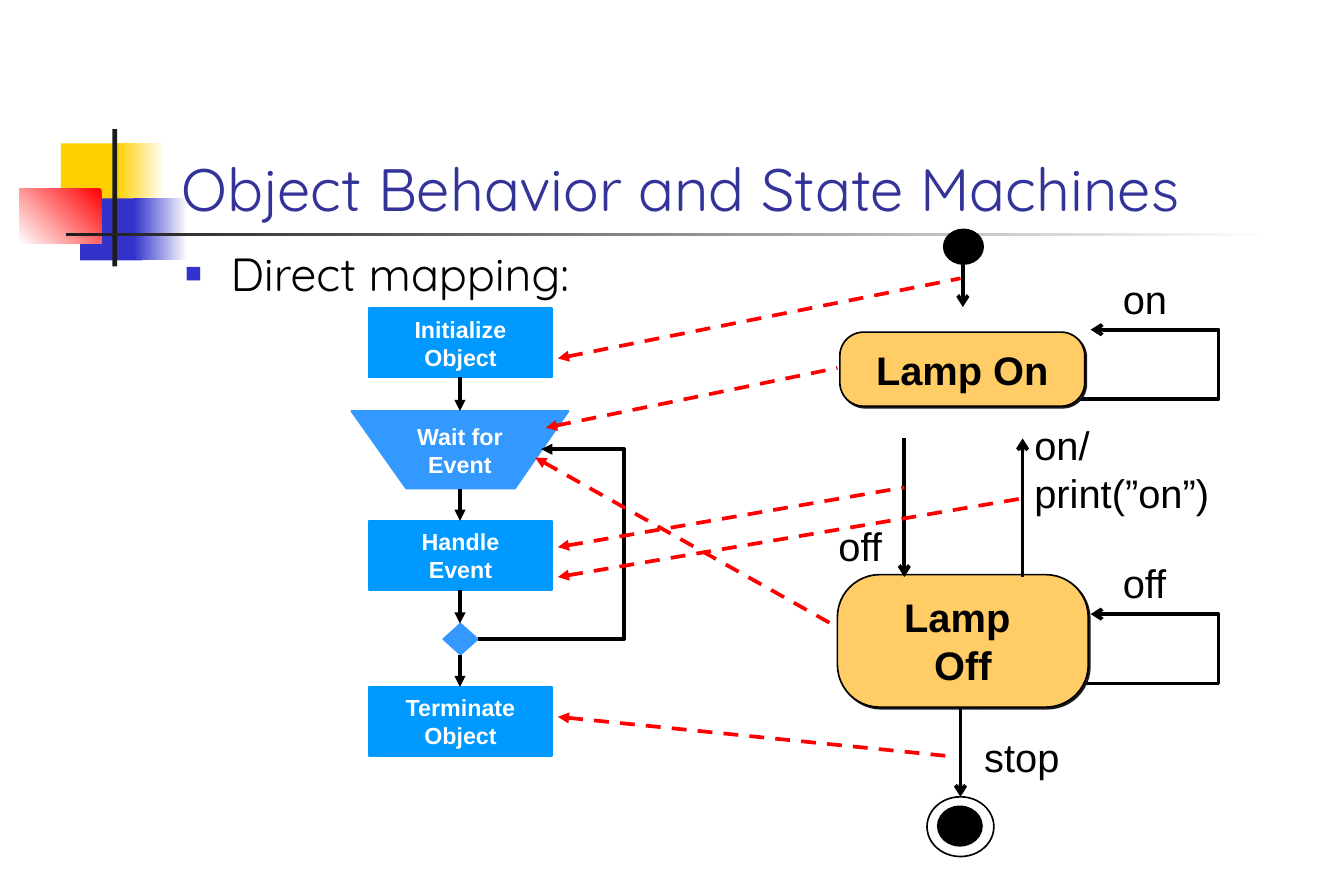
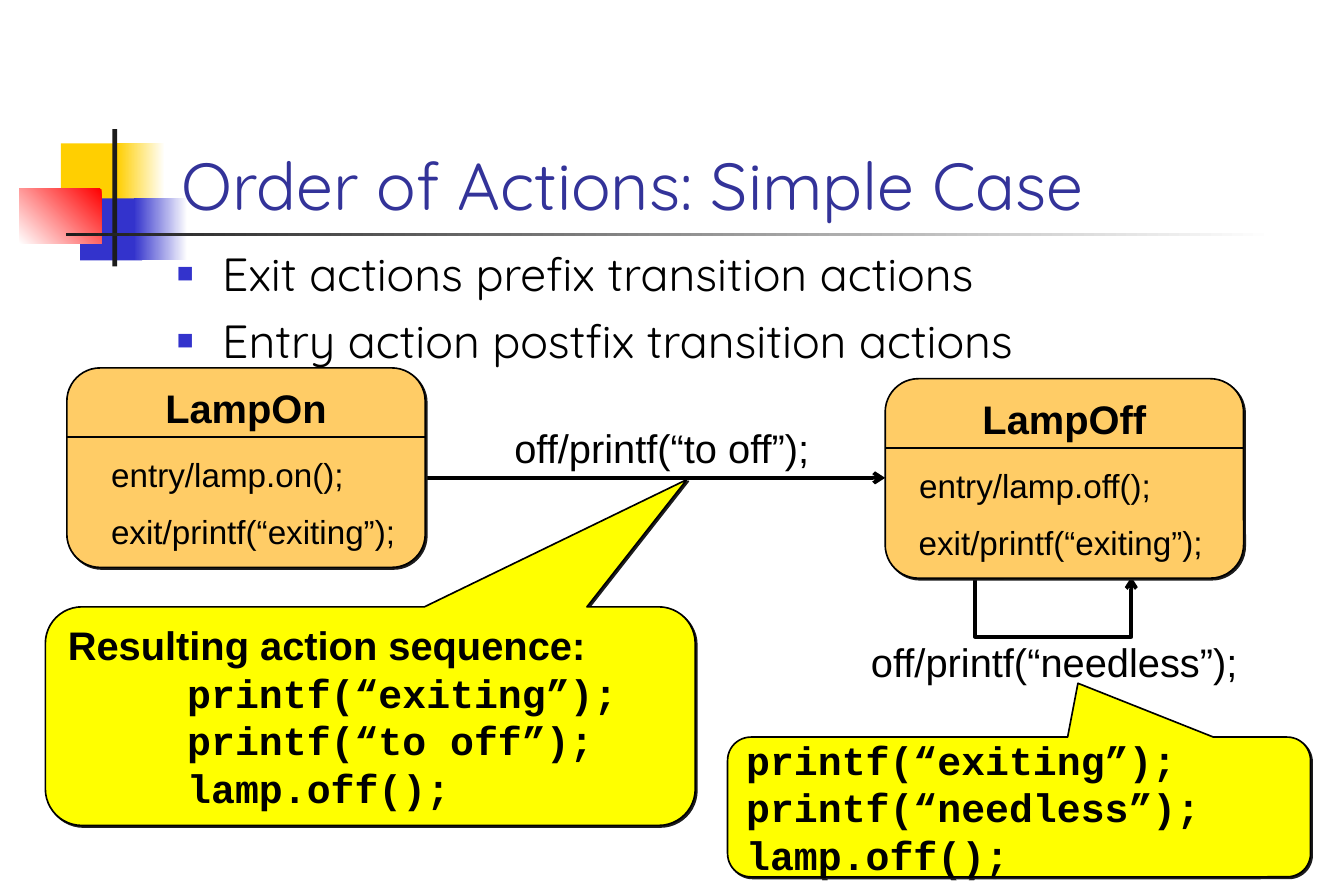
from dataclasses import dataclass
from typing import Any

from lxml.etree import SubElement
from pptx import Presentation
from pptx.dml.color import RGBColor
from pptx.enum.dml import MSO_LINE
from pptx.enum.shapes import MSO_CONNECTOR, MSO_SHAPE
from pptx.enum.text import MSO_ANCHOR, MSO_AUTO_SIZE, PP_ALIGN
from pptx.oxml.ns import qn
from pptx.util import Inches, Pt

BLACK = RGBColor(0x00, 0x00, 0x00)
WHITE = RGBColor(0xFF, 0xFF, 0xFF)
CHARCOAL = RGBColor(0x1C, 0x1C, 0x1C)
GOLD = RGBColor(0xFF, 0xCF, 0x01)
INDIGO = RGBColor(0x33, 0x33, 0xCC)
RED = RGBColor(0xFF, 0x00, 0x00)
TITLE_BLUE = RGBColor(0x33, 0x33, 0x99)
ACTION_BLUE = RGBColor(0x00, 0x99, 0xFF)
WAIT_BLUE = RGBColor(0x33, 0x99, 0xFF)
STATE_ORANGE = RGBColor(0xFF, 0xCC, 0x66)
CALLOUT_YELLOW = RGBColor(0xFF, 0xFF, 0x00)

HEADING_FONT = "Quicksand"
TEXT_FONT = "Arial"
CODE_FONT = "Courier New"


def format_runs(paragraph, size, color=BLACK, bold=False, font=TEXT_FONT):
    for run in paragraph.runs:
        run.font.name = font
        run.font.size = Pt(size)
        run.font.bold = bold
        run.font.color.rgb = color


def add_arrowhead(shape, end, kind):
    line = shape.element.spPr.find(qn("a:ln"))
    SubElement(line, qn(f"a:{end}"), type=kind, w="med", len="med")


def add_drop_shadow(shape):
    effects = shape.element.spPr.find(qn("a:effectLst"))
    shadow = SubElement(effects, qn("a:outerShdw"), dist=str(Pt(1.4)),
                        dir=str(45 * 60000), algn="ctr", rotWithShape="0")
    SubElement(shadow, qn("a:srgbClr"), val=str(CHARCOAL))


@dataclass
class Region:
    """A part of a slide; all lengths are inches from its top left corner."""
    slide: Any
    left: float = 0
    top: float = 0

    def point(self, x, y):
        return Inches(self.left + x), Inches(self.top + y)

    def style(self, shape, fill, outline=BLACK, width=1):
        shape.shadow.inherit = False
        if fill is None:
            shape.fill.background()
        else:
            shape.fill.solid()
            shape.fill.fore_color.rgb = fill
        if outline is None:
            shape.line.fill.background()
        else:
            shape.line.color.rgb = outline
            shape.line.width = Pt(width)
        return shape

    def shape(self, kind, x, y, width, height, fill, outline=BLACK):
        shape = self.slide.shapes.add_shape(
            kind, *self.point(x, y), Inches(width), Inches(height))
        return self.style(shape, fill, outline)

    def outline(self, points, fill=None, outline=BLACK, width=1, closed=False):
        corners = [self.point(*point) for point in points]
        builder = self.slide.shapes.build_freeform(*corners[0])
        builder.add_line_segments(corners[1:], close=closed)
        return self.style(builder.convert_to_shape(), fill, outline, width)

    def loop(self, points):
        add_arrowhead(self.outline(points, width=2.25), "tailEnd", "arrow")

    def line(self, start, stop, arrow="arrow", end="tailEnd", color=BLACK,
             width=2.25, dashed=False, kind=MSO_CONNECTOR.STRAIGHT):
        connector = self.slide.shapes.add_connector(
            kind, *self.point(*start), *self.point(*stop))
        connector.line.color.rgb = color
        connector.line.width = Pt(width)
        if dashed:
            connector.line.dash_style = MSO_LINE.DASH
        if arrow:
            add_arrowhead(connector, end, arrow)
        SubElement(connector.element.spPr, qn("a:effectLst"))
        return connector

    def label(self, text, x, y, width, height=0.5, size=24,
              align=PP_ALIGN.LEFT):
        box = self.slide.shapes.add_textbox(
            *self.point(x, y), Inches(width), Inches(height))
        box.text_frame.word_wrap = False
        box.text_frame.auto_size = MSO_AUTO_SIZE.SHAPE_TO_FIT_TEXT
        write(box, text, size, align=align)


def write(shape, text, size, color=BLACK, bold=False, wrap=False,
          align=PP_ALIGN.CENTER, anchor=MSO_ANCHOR.MIDDLE):
    frame = shape.text_frame
    frame.text = text
    frame.word_wrap = wrap
    frame.vertical_anchor = anchor
    for paragraph in frame.paragraphs:
        paragraph.alignment = align
        format_runs(paragraph, size, color, bold)


def add_master_frame(presentation, slide):
    """Draws the coloured squares and rules, then moves them to the master."""
    frame = Region(slide)
    blocks = [
        (0.51, 1.2, 0.54, 0.52, GOLD),
        (0.98, 1.2, 0.4, 0.52, (WHITE, GOLD, 180)),
        (0.67, 1.66, 0.52, 0.52, INDIGO),
        (1.12, 1.66, 0.45, 0.52, (WHITE, INDIGO, 180)),
        (0.16, 1.58, 0.69, 0.46, (RED, WHITE, 225)),
        (0.94, 1.08, 0.04, 1.15, CHARCOAL),
        (0.55, 1.95, 10.12, 0.03, (WHITE, CHARCOAL, 180)),
    ]
    master_tree = presentation.slide_master.placeholders[0].element.getparent()
    for number, (*box, fill) in enumerate(blocks, start=20):
        is_solid = isinstance(fill, RGBColor)
        block = frame.shape(MSO_SHAPE.RECTANGLE, *box,
                            fill if is_solid else None, None)
        if not is_solid:
            *colors, angle = fill
            block.fill.gradient()
            block.fill.gradient_angle = angle
            for stop, color in zip(block.fill.gradient_stops, colors):
                stop.color.rgb = color
        block.element.xpath("./p:nvSpPr/p:cNvPr")[0].set("id", str(number))
        master_tree.append(block.element)


def place(placeholder, left, top, width, height):
    placeholder.left, placeholder.top = Inches(left), Inches(top)
    placeholder.width, placeholder.height = Inches(width), Inches(height)
    placeholder.text_frame.auto_size = MSO_AUTO_SIZE.NONE
    placeholder.text_frame.word_wrap = True


def add_title(slide, text, size):
    title = slide.shapes.title
    place(title, 1.42, 0.67, 9.59, 1.25)
    title.text_frame.text = text
    title.text_frame.vertical_anchor = MSO_ANCHOR.BOTTOM
    title.text_frame.paragraphs[0].alignment = PP_ALIGN.LEFT
    format_runs(title.text_frame.paragraphs[0], size, TITLE_BLUE,
                font=HEADING_FONT)


def add_bullets(slide, items, box):
    body = slide.placeholders[1]
    place(body, *box)
    body.text_frame.text = "\n".join(items)
    for index, paragraph in enumerate(body.text_frame.paragraphs):
        properties = paragraph._p.get_or_add_pPr()
        properties.set("marL", str(Inches(0.38)))
        properties.set("indent", str(Inches(-0.38)))
        color = SubElement(properties, qn("a:buClr"))
        SubElement(color, qn("a:srgbClr"), val=str(INDIGO))
        SubElement(properties, qn("a:buSzPct"), val="60000")
        SubElement(properties, qn("a:buFont"), typeface=TEXT_FONT)
        SubElement(properties, qn("a:buChar"), char="■")
        paragraph.space_before = Pt(7 if index else 0)
        format_runs(paragraph, 28, font=HEADING_FONT)


def add_flow_chart(slide, left, top):
    chart = Region(slide, left, top)
    center = 0.91
    for text, y in (("Handle\vEvent", 1.78), ("Initialize\vObject", 0),
                    ("Terminate\vObject", 3.17)):
        action = chart.shape(MSO_SHAPE.FLOWCHART_PROCESS, 0.15, y, 1.53, 0.58,
                             ACTION_BLUE, ACTION_BLUE)
        write(action, text, 14, WHITE, bold=True)
    chart.shape(MSO_SHAPE.DIAMOND, 0.77, 2.64, 0.29, 0.26,
                WAIT_BLUE, WAIT_BLUE)
    wait = chart.outline([(0, 0.86), (1.82, 0.86), (1.37, 1.51), (0.46, 1.51)],
                         WAIT_BLUE, WAIT_BLUE, closed=True)
    write(wait, "Wait for\vEvent", 14, WHITE, bold=True)
    for start, stop in ((0.58, 0.86), (1.51, 1.78), (2.36, 2.64), (2.9, 3.17)):
        chart.line((center, start), (center, stop), "triangle")
    repeat = chart.line((1.06, 2.77), (1.59, 1.18), "triangle",
                        kind=MSO_CONNECTOR.ELBOW)
    guides = repeat.element.spPr.find(qn("a:prstGeom")).find(qn("a:avLst"))
    SubElement(guides, qn("a:gd"), name="adj1", fmla="val 231000")


def add_state(region, text, x, y, width, height, rounding,
              anchor=MSO_ANCHOR.MIDDLE, wrap=True):
    state = region.shape(MSO_SHAPE.ROUNDED_RECTANGLE, x, y, width, height,
                         STATE_ORANGE)
    state.adjustments[0] = rounding
    add_drop_shadow(state)
    write(state, text, 24, bold=True, wrap=wrap, anchor=anchor)


def add_state_machine(slide, left, top):
    machine = Region(slide, left, top)
    for text, y in (("on", 0.86), ("off", 3.24)):
        machine.loop([(1.97, y + 0.58), (3.2, y + 0.58), (3.2, y), (2.13, y)])
        machine.label(text, 2.3, y - 0.51, 0.57)
    add_state(machine, "Lamp On", 0.03, 0.88, 2.05, 0.62, 0.32)
    add_state(machine, "Lamp \vOff", 0.01, 2.91, 2.1, 1.11, 0.32)
    for start, stop in (((0.57, 1.77), (0.57, 2.93)),
                        ((1.56, 2.93), (1.56, 1.77)),
                        ((1.06, 0.16), (1.06, 0.67)),
                        ((1.04, 4.02), (1.04, 4.77))):
        machine.line(start, stop)
    machine.label("off", -0.08, 2.42, 0.57)
    machine.label("on/print(”on”)", 1.56, 1.77, 2.12)
    machine.label("stop", 1.14, 4.18, 0.83)
    for *box, fill in ((0.9, 0.02, 0.33, 0.29, BLACK),
                       (0.76, 4.77, 0.56, 0.5, WHITE),
                       (0.85, 4.85, 0.37, 0.33, BLACK)):
        machine.shape(MSO_SHAPE.OVAL, *box, fill)


def add_mapping_arrows(slide, left, top):
    """Links each part of the state machine to its flow chart step."""
    mapping = Region(slide, left, top)
    for step, state in (((0.09, 1.25), (2.53, 0.75)),
                        ((0, 1.5), (2.53, 2.92)),
                        ((0.19, 2.25), (3.09, 1.75)),
                        ((0.19, 2.5), (4.09, 1.84)),
                        ((0.19, 3.67), (3.47, 4)),
                        ((0.19, 0.67), (3.56, 0))):
        mapping.line(step, state, "triangle", "headEnd", RED, dashed=True)


def add_detailed_state(slide, left, top, name, entry, inset):
    region = Region(slide, left, top)
    add_state(region, name, 0, 0, 3, 1.67, 0.167, MSO_ANCHOR.TOP, wrap=False)
    region.line((0, 0.58), (3, 0.58), arrow=None, width=1)
    for text, y, width in ((entry, 0.67, 2.15),
                           ("exit/printf(“exiting”);", 1.15, 2.58)):
        region.label(text, inset, y, width, 0.44, 20, PP_ALIGN.CENTER)


def add_callout(slide, left, top, width, height, pointer, code, heading=None):
    callout = Region(slide, left, top).shape(
        MSO_SHAPE.ROUNDED_RECTANGULAR_CALLOUT, 0, 0, width, height,
        CALLOUT_YELLOW)
    for index, value in enumerate((*pointer, 0.167)):
        callout.adjustments[index] = value
    add_drop_shadow(callout)
    lines = [heading, *code] if heading else code
    write(callout, "\n".join(lines), 24, bold=True, align=PP_ALIGN.LEFT)
    paragraphs = callout.text_frame.paragraphs
    for paragraph in paragraphs[-len(code):]:
        format_runs(paragraph, 24, bold=True, font=CODE_FONT)
        if heading:
            paragraph._p.get_or_add_pPr().set("marL", str(Inches(1)))


def add_transitions(slide, left, top):
    transitions = Region(slide, left, top)
    transitions.loop([(4.69, 0.83), (4.69, 1.33), (6, 1.33), (6, 0.83)])
    transitions.label("off/printf(“needless”);", 3.72, 1.29, 3.27,
                      align=PP_ALIGN.CENTER)
    transitions.line((0, 0), (3.94, 0))
    transitions.label("off/printf(“to off”);", 0.73, -0.5, 2.68,
                      align=PP_ALIGN.CENTER)


def build_mapping_slide(slide):
    add_title(slide, "Object Behavior and State Machines", 36)
    add_bullets(slide, ["Direct mapping:"], (1.45, 2, 9.56, 4.5))
    add_flow_chart(slide, 2.94, 2.58)
    add_state_machine(slide, 7, 1.9)
    add_mapping_arrows(slide, 4.48, 2.33)


def build_order_slide(slide):
    add_title(slide, "Order of Actions: Simple Case", 40)
    add_bullets(slide, ["Exit actions prefix transition actions",
                        "Entry action postfix transition actions"],
                (1.38, 2, 8.12, 4.92))
    add_callout(slide, 0.38, 5.08, 5.44, 1.83, (0.487, -1.082),
                ["printf(“exiting”);", "printf(“to off”);", "lamp.off();"],
                "Resulting action sequence:")
    add_callout(slide, 6.09, 6.17, 4.88, 1.17, (0.101, -0.885),
                ["printf(“exiting”);", "printf(“needless”);", "lamp.off();"])
    add_transitions(slide, 3.47, 4)
    add_detailed_state(slide, 7.41, 3.17, "LampOff", "entry/lamp.off();", 0.18)
    add_detailed_state(slide, 0.56, 3.08, "LampOn", "entry/lamp.on();", 0.27)


def main():
    presentation = Presentation()
    presentation.slide_width = Inches(11.25)
    presentation.slide_height = Inches(7.5)
    layout = presentation.slide_layouts[1]
    mapping_slide = presentation.slides.add_slide(layout)
    add_master_frame(presentation, mapping_slide)
    build_mapping_slide(mapping_slide)
    build_order_slide(presentation.slides.add_slide(layout))
    presentation.save("out.pptx")


if __name__ == "__main__":
    main()
